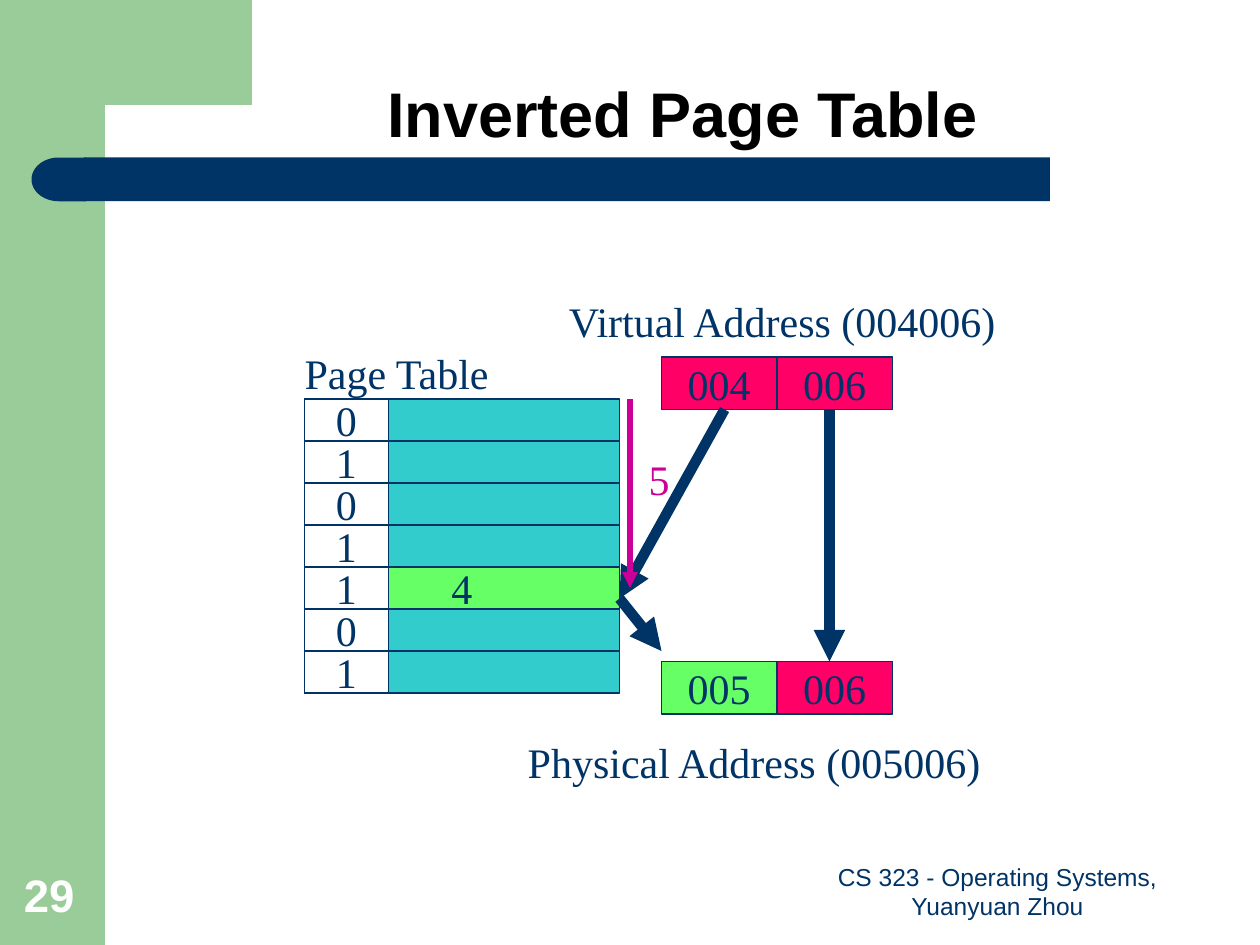
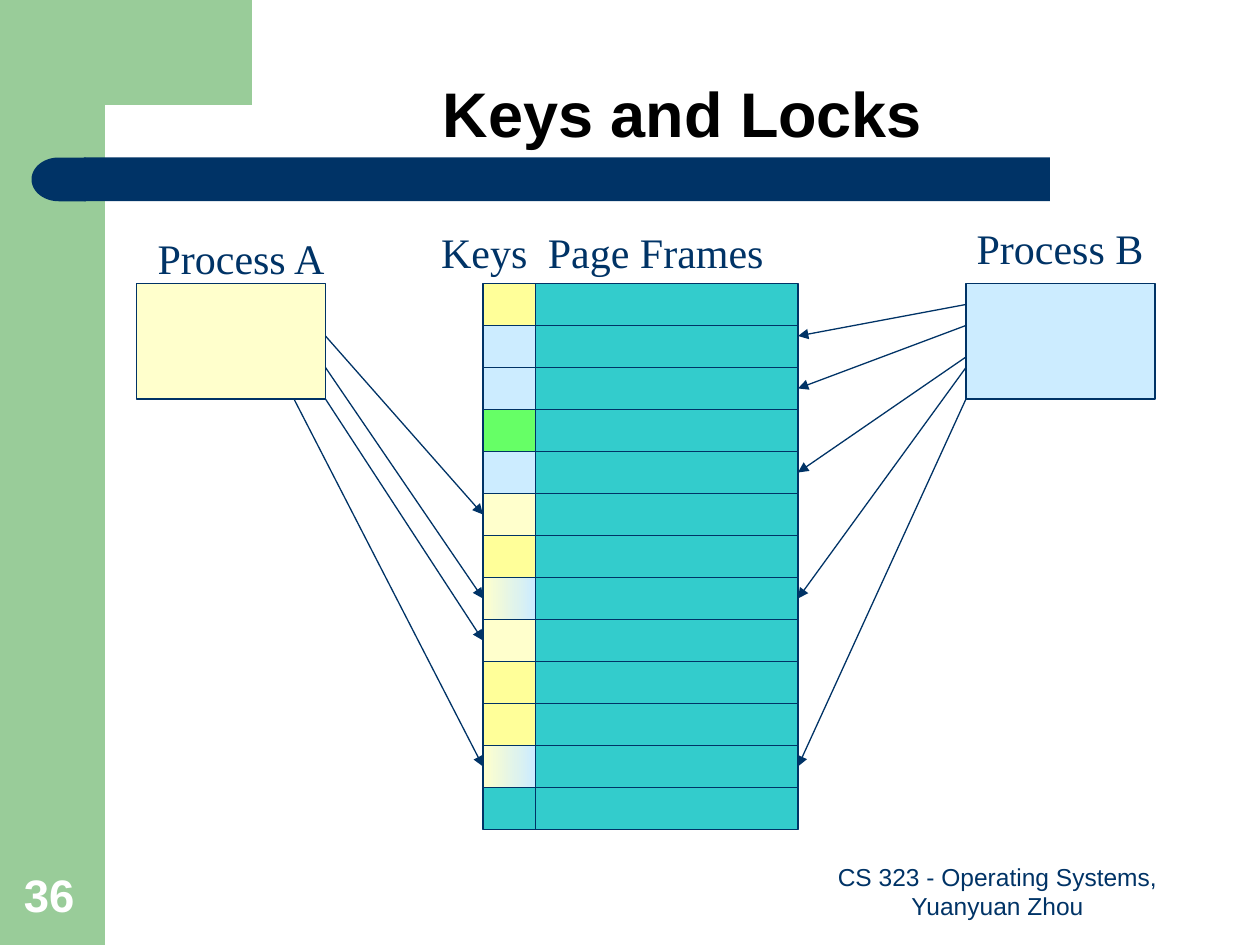
from dataclasses import dataclass

from lxml import etree
from pptx import Presentation
from pptx.dml.color import RGBColor
from pptx.enum import shapes, text
from pptx.oxml import ns
from pptx.util import Pt


@dataclass(frozen=True)
class Theme:
    sage: str = "99CC99"
    navy: str = "003366"
    black: str = "000000"
    white: str = "FFFFFF"
    teal: str = "33CCCC"
    green: str = "66FF66"
    pink: str = "FF0066"
    magenta: str = "CC0099"
    yellow: str = "FFFF99"
    cream: str = "FFFFCC"
    sky: str = "CCECFF"
    heading_font: str = "Arial"
    body_font: str = "Times New Roman"
    title_size: int = 36
    number_size: int = 26
    body_size: int = 24
    footer_size: int = 14
    thin: float = 0.75
    medium: int = 3
    thick: int = 6


THEME = Theme()
SHARED = (THEME.sky, THEME.cream)  # gradient of a frame that both processes use
ROW_HEIGHT = 24
LEFT_SIDE, RIGHT_SIDE = 1, 3


def rgb(colour):
    return RGBColor.from_string(colour)


def write(shape, content, size=THEME.body_size, font=THEME.body_font, colour=THEME.navy,
          bold=False, align=text.PP_ALIGN.LEFT, anchor=text.MSO_ANCHOR.TOP,
          wrap=False, grow=False, spacing=None):
    frame = shape.text_frame
    frame.word_wrap = wrap
    frame.vertical_anchor = anchor
    if grow:
        frame.auto_size = text.MSO_AUTO_SIZE.SHAPE_TO_FIT_TEXT
    paragraph = frame.paragraphs[0]
    paragraph.alignment = align
    if spacing:
        paragraph.line_spacing = spacing
    run = paragraph.add_run()
    run.text = content
    run.font.name = font
    run.font.size = Pt(size)
    run.font.bold = bold
    run.font.color.rgb = rgb(colour)


def add_text(slide, box, content, **text_format):
    write(slide.shapes.add_textbox(*map(Pt, box)), content, **text_format)


def add_label(slide, box, content, **text_format):
    add_text(slide, box, content, grow=True, **text_format)


def paint(shape, fill, outline=None):
    """Fill with one colour, or with a pair of colours as a gradient."""
    shape.shadow.inherit = False
    if isinstance(fill, tuple):
        shape.fill.gradient()
        shape.fill.gradient_angle = 180
        for stop, colour in zip(shape.fill.gradient_stops, fill):
            stop.color.rgb = rgb(colour)
    else:
        shape.fill.solid()
        shape.fill.fore_color.rgb = rgb(fill)
    if outline:
        shape.line.color.rgb = rgb(outline)
        shape.line.width = Pt(THEME.thin)
    else:
        shape.line.fill.background()


def add_block(slide, box, fill, outline=None, kind=shapes.MSO_SHAPE.RECTANGLE):
    shape = slide.shapes.add_shape(kind, *map(Pt, box))
    paint(shape, fill, outline)
    return shape


def add_cell(slide, box, fill, content=None):
    cell = add_block(slide, box, fill, THEME.navy)
    if content:
        write(cell, content, align=text.PP_ALIGN.CENTER, anchor=text.MSO_ANCHOR.MIDDLE)
    return cell


def add_arrow(slide, start, end, colour=THEME.navy, width=THEME.thin):
    arrow = slide.shapes.add_connector(
        shapes.MSO_CONNECTOR.STRAIGHT, *map(Pt, (*start, *end)))
    arrow.line.color.rgb = rgb(colour)
    arrow.line.width = Pt(width)
    line = arrow.line._get_or_add_ln()
    etree.SubElement(line, ns.qn("a:tailEnd"), type="triangle")
    etree.SubElement(arrow._element.spPr, ns.qn("a:effectLst"))
    return arrow


def add_corner(slide):
    """Green block at the top left with a curved inner corner."""
    builder = slide.shapes.build_freeform(144, 0, scale=Pt(1))
    builder.add_line_segments([(144, 60), (60, 60), (58, 60), (55, 61), (51, 66),
                               (49, 75), (48, 84), (48, 92), (36, 92), (36, 0)])
    paint(builder.convert_to_shape(), THEME.sage)


def add_frame(presentation, title, number):
    """New slide with the bands, title, footer and slide number."""
    slide = presentation.slides.add_slide(presentation.slide_layouts[6])
    add_block(slide, (0, 0, 60, 540), THEME.sage)
    add_corner(slide)
    add_block(slide, (48, 90, 552, 25), THEME.navy)
    cap = add_block(slide, (18, 90, 31, 25), THEME.navy,
                    kind=shapes.MSO_SHAPE.FLOWCHART_DELAY)
    cap.rotation = 180
    heading = dict(font=THEME.heading_font, anchor=text.MSO_ANCHOR.BOTTOM, wrap=True)
    add_text(slide, (78, 0, 624, 90), title, size=THEME.title_size, bold=True,
             colour=THEME.black, align=text.PP_ALIGN.CENTER, spacing=0.9, **heading)
    add_text(slide, (456, 492, 228, 37.5), "CS 323 - Operating Systems, Yuanyuan Zhou",
             size=THEME.footer_size, align=text.PP_ALIGN.CENTER, **heading)
    add_text(slide, (6.5, 492, 46, 38), str(number), size=THEME.number_size, bold=True,
             colour=THEME.white, **heading)
    return slide


def add_address(slide, top, parts):
    for column, (content, fill) in enumerate(parts):
        add_cell(slide, (378 + 66 * column, top, 66, 30), fill, content)


def build_inverted_table(presentation):
    slide = add_frame(presentation, "Inverted Page Table", 29)
    add_address(slide, 204, [("004", THEME.pink), ("006", THEME.pink)])
    add_address(slide, 378, [("005", THEME.green), ("006", THEME.pink)])

    table_left, table_top, match_row = 174, 228, 4
    for row, process in enumerate("0101101"):
        top = table_top + ROW_HEIGHT * row
        match = row == match_row
        add_cell(slide, (table_left, top, 180, ROW_HEIGHT),
                 THEME.green if match else THEME.teal, "4" if match else None)
        add_cell(slide, (table_left, top, 48, ROW_HEIGHT), THEME.white, process)

    for start, end in [((474, 234), (474, 378)), ((414, 234), (354, 342)),
                       ((354, 342), (378, 372))]:
        add_arrow(slide, start, end, width=THEME.thick)
    add_label(slide, (167, 195, 122, 36), "Page Table")
    add_label(slide, (318, 165.5, 261, 36), "Virtual Address (004006)")
    add_label(slide, (294.5, 417.5, 274, 36), "Physical Address (005006)")
    add_arrow(slide, (360, 228), (360, 336), THEME.magenta, THEME.medium)
    add_label(slide, (363.5, 255.5, 26, 36), "5", colour=THEME.magenta)


def build_keys_and_locks(presentation):
    slide = add_frame(presentation, "Keys and Locks", 36)
    key_left, frame_left, frame_right, top = 276, 306, 456, 162
    key_fills = [THEME.yellow, THEME.sky, THEME.sky, THEME.green, THEME.sky,
                 THEME.cream, THEME.yellow, SHARED, THEME.cream, THEME.yellow,
                 THEME.yellow, SHARED, THEME.teal]
    keys, frames = [], []
    for row, fill in enumerate(key_fills):
        row_top = top + ROW_HEIGHT * row
        frames.append(add_cell(
            slide, (frame_left, row_top, frame_right - frame_left, ROW_HEIGHT), THEME.teal))
        keys.append(add_cell(
            slide, (key_left, row_top, frame_left - key_left, ROW_HEIGHT), fill))

    add_cell(slide, (78, top, 108, 66), THEME.cream)
    add_cell(slide, (552, top, 108, 66), THEME.sky)

    for start, row in [((186, 192), 5), ((186, 210), 7), ((186, 228), 8), ((168, 228), 11)]:
        add_arrow(slide, start, start).end_connect(keys[row], LEFT_SIDE)
    add_arrow(slide, (552, 174), (frame_right, 192))
    for start_y, row in [(186, 2), (204, 4), (210, 7), (228, 11)]:
        start = (552, start_y)
        add_arrow(slide, start, start).end_connect(frames[row], RIGHT_SIDE)

    add_label(slide, (83, 129.5, 111, 36), "Process A")
    add_label(slide, (551, 123.5, 109.5, 36), "Process B")
    add_label(slide, (245, 126, 63.5, 36), "Keys")
    add_label(slide, (306, 126, 137.5, 36), "Page Frames", wrap=True)


def main():
    presentation = Presentation()
    presentation.slide_width, presentation.slide_height = Pt(720), Pt(540)
    build_inverted_table(presentation)
    build_keys_and_locks(presentation)
    presentation.save("out.pptx")


if __name__ == "__main__":
    main()
